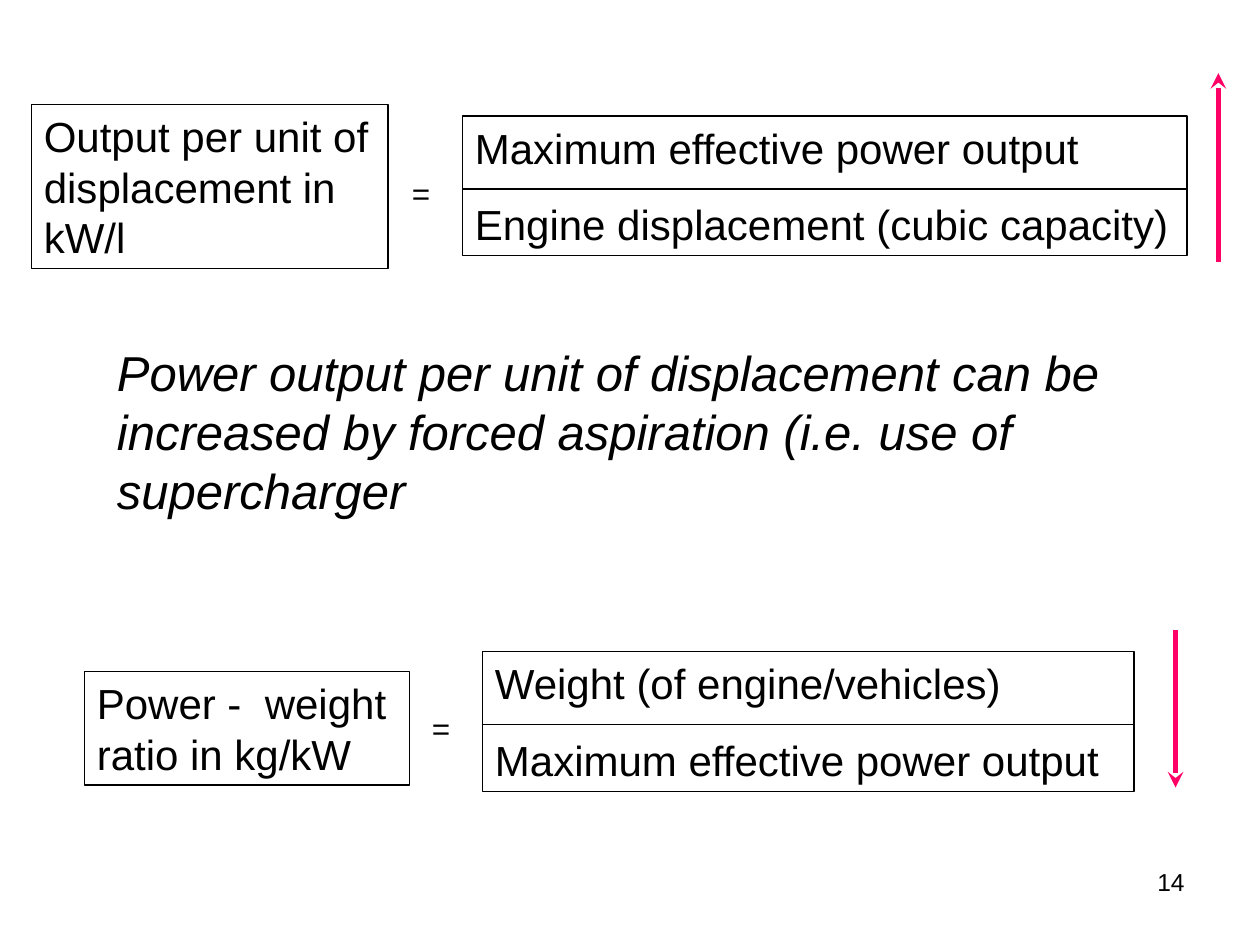
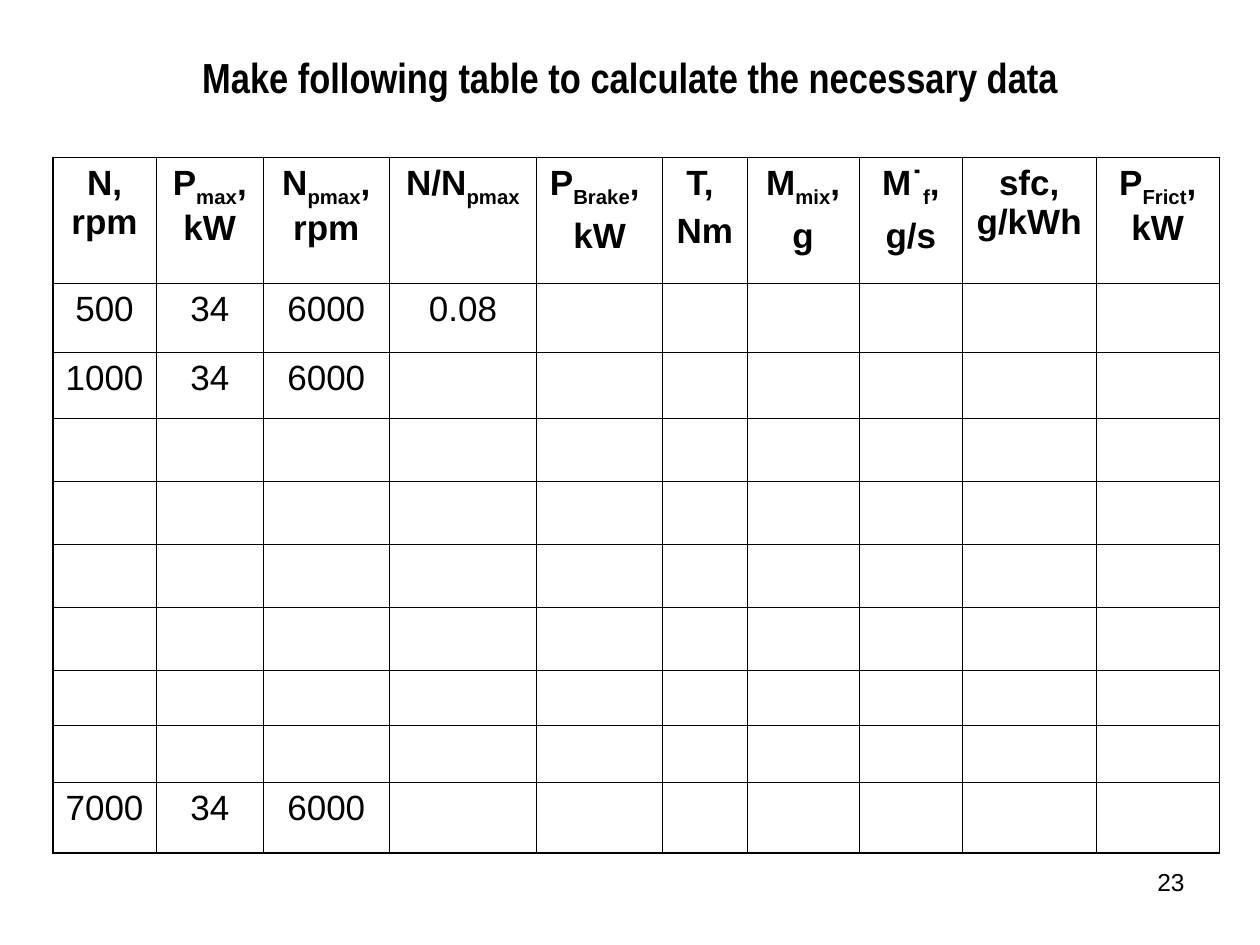
from dataclasses import dataclass

from lxml import etree
from pptx import Presentation
from pptx.dml.color import RGBColor
from pptx.enum.shapes import MSO_CONNECTOR
from pptx.enum.text import MSO_ANCHOR, MSO_AUTO_SIZE, PP_ALIGN
from pptx.oxml.ns import qn
from pptx.shapes.autoshape import Shape
from pptx.shapes.connector import Connector
from pptx.slide import Slide
from pptx.table import _Cell
from pptx.text.text import TextFrame
from pptx.util import Inches, Pt

LEFT, CENTER, RIGHT = PP_ALIGN.LEFT, PP_ALIGN.CENTER, PP_ALIGN.RIGHT
MIDDLE = MSO_ANCHOR.MIDDLE
NO_AUTOFIT = MSO_AUTO_SIZE.NONE
STRAIGHT = MSO_CONNECTOR.STRAIGHT

COLORS = {"ink": "000000", "trend": "FF0066", "paper": "FFFFFF"}
FORMATS = {
    "title": {"name": "Arial Narrow", "size": Pt(24), "bold": True},
    "formula": {"name": "Arial", "size": Pt(24)},
    "equals": {"name": "Arial", "size": Pt(18)},
    "remark": {"name": "Arial", "size": Pt(28), "italic": True},
    "page number": {"name": "Arial", "size": Pt(14)},
    "table head": {"name": "Arial", "size": Pt(20), "bold": True},
    "table body": {"name": "Arial", "size": Pt(20), "bold": False},
}
THIN_BORDER, OUTER_BORDER = Pt(0.45), Pt(1.08)
TITLE_ONLY_LAYOUT, BLANK_LAYOUT = 5, 6


@dataclass(frozen=True)
class Box:
    left: float
    top: float
    width: float
    height: float

    def lengths(self) -> list[int]:
        return [Inches(value) for value in (self.left, self.top, self.width, self.height)]


@dataclass(frozen=True)
class Formula:
    quantity: str
    quantity_box: Box
    fraction: str
    fraction_box: Box
    arrow_x: float
    arrow_start: float
    arrow_end: float


FORMULAS = [
    Formula("Output per unit of displacement in kW/l", Box(0.25, 0.83, 2.83, 1.3),
            "Maximum effective power output\nEngine displacement (cubic capacity)",
            Box(3.67, 0.92, 5.75, 1.11), 9.67, 2.08, 0.58),
    Formula("Power -  weight ratio in kg/kW", Box(0.67, 5.33, 2.58, 0.9),
            "Weight (of engine/vehicles)\nMaximum effective power output",
            Box(3.83, 5.17, 5.17, 1.11), 9.33, 5, 6.25),
]
REMARK = ("Power output per unit of displacement can be increased by "
          "forced aspiration (i.e. use of supercharger")

# Text between underscores is subscript.
TABLE_HEADS = ["N, rpm", "P_max_, kW", "N_pmax_, rpm", "N/N_pmax_", "P_Brake_, \nkW",
               "T, \nNm", "M_mix_,\ng", "M˙_f_,\ng/s", "sfc, g/kWh", "P_Frict_, kW"]
TABLE_ROWS = {1: ["500", "34", "6000", "0.08"], 2: ["1000", "34", "6000"],
              9: ["7000", "34", "6000"]}
COLUMN_WIDTHS = [0.82, 0.85, 1, 1.17, 1, 0.67, 0.89, 0.82, 1.06, 0.98]
ROW_HEIGHTS = [1, 0.55, 0.52, 0.5, 0.5, 0.5, 0.5, 0.44, 0.45, 0.56]


def write(frame: TextFrame, text: str, style: str, align: PP_ALIGN = LEFT,
          gap: float = 0) -> None:
    """Write one paragraph per line, with underscored parts as subscript."""
    frame.word_wrap = True
    for index, line in enumerate(text.split("\n")):
        paragraph = frame.add_paragraph() if index else frame.paragraphs[0]
        paragraph.alignment = align
        paragraph.space_before = Pt(gap if index else 0)
        for part, piece in enumerate(line.split("_")):
            if not piece:
                continue
            run = paragraph.add_run()
            run.text = piece
            for attribute, value in FORMATS[style].items():
                setattr(run.font, attribute, value)
            run.font.color.rgb = RGBColor.from_string(COLORS["ink"])
            if part % 2:
                run._r.get_or_add_rPr().set("baseline", "-25000")


def add_text(shapes, box: Box, text: str, style: str, align: PP_ALIGN = LEFT,
             gap: float = 0, framed: bool = False) -> Shape:
    shape = shapes.add_textbox(*box.lengths())
    write(shape.text_frame, text, style, align, gap)
    if framed:
        shape.line.color.rgb = RGBColor.from_string(COLORS["ink"])
        shape.line.width = Pt(0.75)
    return shape


def add_line(shapes, start: tuple[float, float], end: tuple[float, float],
             color: str, width: float) -> Connector:
    points = [Inches(value) for value in (*start, *end)]
    connector = shapes.add_connector(STRAIGHT, *points)
    connector.line.color.rgb = RGBColor.from_string(COLORS[color])
    connector.line.width = Pt(width)
    etree.SubElement(connector._element.spPr, qn("a:effectLst"))
    return connector


def add_formula(slide: Slide, formula: Formula) -> None:
    """Draw quantity = fraction, and the arrow for the desired trend."""
    shapes = slide.shapes.add_group_shape().shapes
    box = formula.fraction_box
    bar_y = box.top + 0.58
    add_text(shapes, formula.quantity_box, formula.quantity, "formula", framed=True)
    add_text(shapes, box, formula.fraction, "formula", gap=15, framed=True)
    add_line(shapes, (box.left, bar_y), (box.left + box.width, bar_y), "ink", 0.75)
    add_text(shapes, Box(box.left - 0.5, bar_y - 0.17, 0.42, 0.4), "=", "equals")

    arrow = add_line(slide.shapes, (formula.arrow_x, formula.arrow_start),
                     (formula.arrow_x, formula.arrow_end), "trend", 3)
    etree.SubElement(arrow.line._get_or_add_ln(), qn("a:tailEnd"), type="stealth")


def add_page_number(slide: Slide, number: int) -> None:
    add_text(slide.shapes, Box(7.17, 6.83, 2.33, 0.52), str(number), "page number", RIGHT)


def set_borders(cell: _Cell, outer_sides: dict[str, bool]) -> None:
    properties = cell._tc.get_or_add_tcPr()
    for side, is_outer in outer_sides.items():
        width = OUTER_BORDER if is_outer else THIN_BORDER
        border = etree.SubElement(properties, qn(f"a:ln{side}"), w=str(int(width)))
        fill = etree.SubElement(border, qn("a:solidFill"))
        etree.SubElement(fill, qn("a:srgbClr"), val=COLORS["ink"])


def add_data_table(slide: Slide) -> None:
    row_count, column_count = len(ROW_HEIGHTS), len(COLUMN_WIDTHS)
    box = Box(0.42, 1.25, sum(COLUMN_WIDTHS), sum(ROW_HEIGHTS))
    table = slide.shapes.add_table(row_count, column_count, *box.lengths()).table
    table.first_row = table.horz_banding = False
    for column, width in zip(table.columns, COLUMN_WIDTHS):
        column.width = Inches(width)
    for row, height in zip(table.rows, ROW_HEIGHTS):
        row.height = Inches(height)
    contents = {0: TABLE_HEADS, **TABLE_ROWS}
    for row_index in range(row_count):
        for column_index in range(column_count):
            cell = table.cell(row_index, column_index)
            set_borders(cell, {"L": column_index == 0, "R": column_index == column_count - 1,
                               "T": row_index == 0, "B": row_index == row_count - 1})
            cell.fill.background()
            values = contents.get(row_index, [])
            if column_index < len(values):
                style = "table body" if row_index else "table head"
                write(cell.text_frame, values[column_index], style, CENTER, gap=5)


def add_slide(presentation: Presentation, layout: int, number: int) -> Slide:
    slide = presentation.slides.add_slide(presentation.slide_layouts[layout])
    slide.background.fill.solid()
    slide.background.fill.fore_color.rgb = RGBColor.from_string(COLORS["paper"])
    add_page_number(slide, number)
    return slide


def set_title(slide: Slide, text: str) -> None:
    title = slide.shapes.title
    title.left, title.top, title.width, title.height = Box(0.5, 0.3, 9, 0.62).lengths()
    title.text_frame.auto_size = NO_AUTOFIT
    title.text_frame.vertical_anchor = MIDDLE
    write(title.text_frame, text, "title", CENTER)


def build_formula_slide(presentation: Presentation) -> None:
    slide = add_slide(presentation, BLANK_LAYOUT, 14)
    for formula in FORMULAS:
        add_formula(slide, formula)
    add_text(slide.shapes, Box(0.83, 2.67, 8.75, 1.5), REMARK, "remark")


def build_table_slide(presentation: Presentation) -> None:
    slide = add_slide(presentation, TITLE_ONLY_LAYOUT, 23)
    set_title(slide, "Make following table to calculate the necessary data")
    add_data_table(slide)


def main() -> None:
    presentation = Presentation()
    presentation.slide_width, presentation.slide_height = Inches(10), Inches(7.5)
    build_formula_slide(presentation)
    build_table_slide(presentation)
    presentation.save("out.pptx")


if __name__ == "__main__":
    main()
